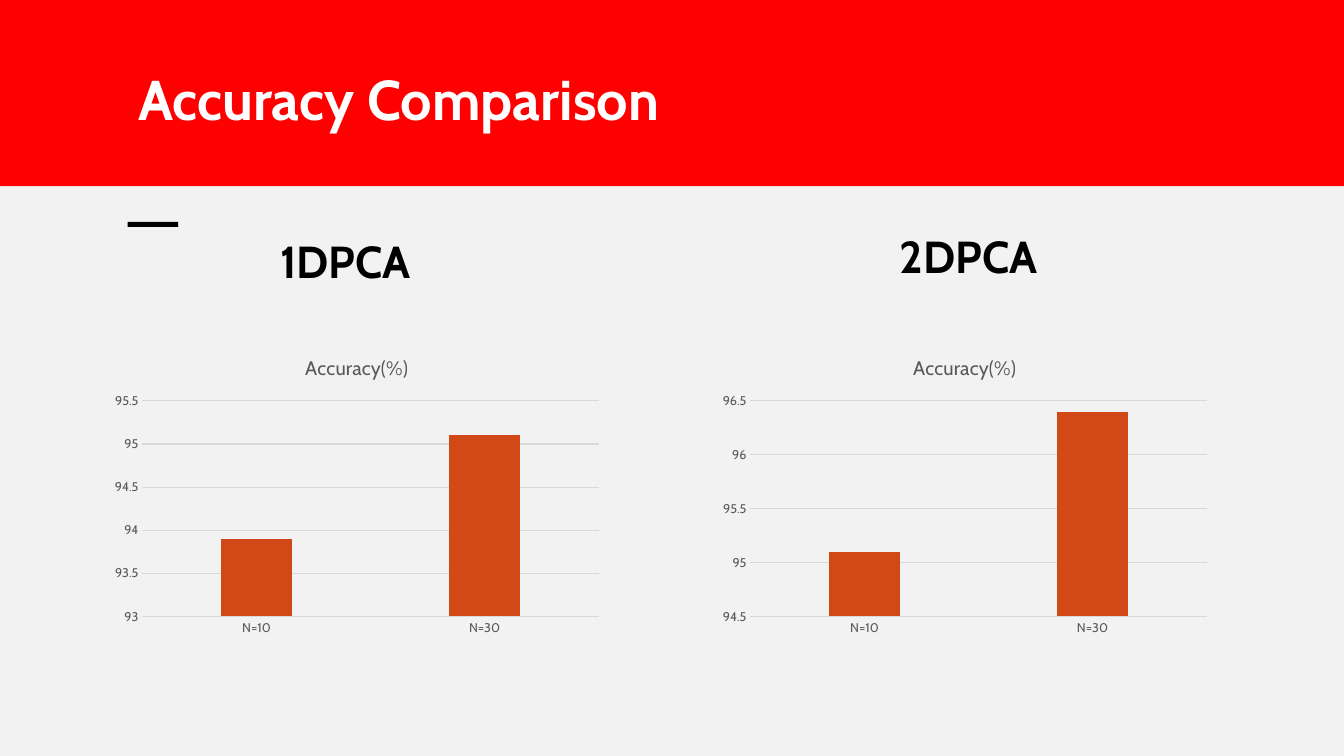
from dataclasses import dataclass

import pptx
import pptx.chart.data
import pptx.dml.color
import pptx.enum.chart
import pptx.enum.shapes
import pptx.enum.text
import pptx.util
from pptx.util import Cm


@dataclass(frozen=True)
class Theme:
    font: str = "Cabin"
    banner: str = "FF0000"
    panel: str = "F2F2F2"
    ink: str = "000000"
    white: str = "FFFFFF"
    label: str = "595959"
    grid: str = "D9D9D9"
    column: str = "D34817"
    title_size: int = 40
    heading_size: int = 32
    chart_title_size: int = 14
    chart_size: int = 10
    axis_size: int = 9
    line_width: float = 0.75


THEME = Theme()


def color(value):
    return pptx.dml.color.RGBColor.from_string(value)


def style_font(font, size, value, bold=False):
    font.name = THEME.font
    font.size = pptx.util.Pt(size)
    font.bold = bold
    font.color.rgb = color(value)


def style_line(line, value):
    line.color.rgb = color(value)
    line.width = pptx.util.Pt(THEME.line_width)


def add_block(page, left, top, width, height, fill):
    block = page.shapes.add_shape(
        pptx.enum.shapes.MSO_SHAPE.RECTANGLE, Cm(left), Cm(top), Cm(width), Cm(height)
    )
    block.shadow.inherit = False
    block.fill.solid()
    block.fill.fore_color.rgb = color(fill)
    block.line.fill.background()


def add_text(page, left, top, width, height, text, size, value):
    box = page.shapes.add_textbox(Cm(left), Cm(top), Cm(width), Cm(height))
    box.text_frame.word_wrap = True
    para = box.text_frame.paragraphs[0]
    span = para.add_run()
    span.text = text
    style_font(span.font, size, value, bold=True)
    return box


def add_title(page, text):
    box = add_text(page, 3.23, 1.45, 27.46, 2.26, text, THEME.title_size, THEME.white)
    box.text_frame.vertical_anchor = pptx.enum.text.MSO_ANCHOR.MIDDLE
    box.text_frame.paragraphs[0].line_spacing = 0.9
    style_line(box.line, THEME.banner)


def style_axis(axis):
    axis.major_tick_mark = pptx.enum.chart.XL_TICK_MARK.NONE
    axis.minor_tick_mark = pptx.enum.chart.XL_TICK_MARK.NONE
    style_font(axis.tick_labels.font, THEME.axis_size, THEME.label)


def add_accuracy_chart(page, left, values, lowest, highest):
    name = "Accuracy(%)"
    data = pptx.chart.data.CategoryChartData()
    data.categories = ["N=10", "N=30"]
    data.add_series(name, values)
    chart = page.shapes.add_chart(
        pptx.enum.chart.XL_CHART_TYPE.COLUMN_CLUSTERED,
        Cm(left), Cm(8.56), Cm(12.7), Cm(7.62), data,
    ).chart
    style_font(chart.font, THEME.chart_size, THEME.ink)
    chart.has_legend = False
    chart.has_title = True
    span = chart.chart_title.text_frame.paragraphs[0].add_run()
    span.text = name
    style_font(span.font, THEME.chart_title_size, THEME.label)
    chart.chart_title.include_in_layout = False

    style_axis(chart.category_axis)
    style_line(chart.category_axis.format.line, THEME.grid)
    axis = chart.value_axis
    style_axis(axis)
    axis.format.line.fill.background()
    axis.minimum_scale = lowest
    axis.maximum_scale = highest
    axis.major_unit = 0.5
    style_line(axis.major_gridlines.format.line, THEME.grid)

    plot = chart.plots[0]
    plot.vary_by_categories = False
    plot.gap_width = 219
    plot.overlap = -27
    fill = plot.series[0].format.fill
    fill.solid()
    fill.fore_color.rgb = color(THEME.column)


def main():
    deck = pptx.Presentation()
    deck.slide_width = Cm(33.87)
    deck.slide_height = Cm(19.05)
    page = deck.slides.add_slide(deck.slide_layouts[6])

    add_block(page, 0, 0, 33.87, 4.7, THEME.banner)
    add_title(page, "Accuracy Comparison")
    add_block(page, 0, 4.7, 33.87, 14.35, THEME.panel)
    add_block(page, 3.22, 5.59, 1.27, 0.13, THEME.ink)

    methods = [
        ("1DPCA", 6.81, 5.77, 2.64, (93.9, 95.1), 93, 95.5),
        ("2DPCA", 22.43, 5.64, 17.96, (95.1, 96.4), 94.5, 96.5),
    ]
    for name, left, top, chart_left, values, lowest, highest in methods:
        add_text(page, left, top, 4.65, 1.63, name, THEME.heading_size, THEME.ink)
        add_accuracy_chart(page, chart_left, values, lowest, highest)

    deck.save("out.pptx")


if __name__ == "__main__":
    main()
